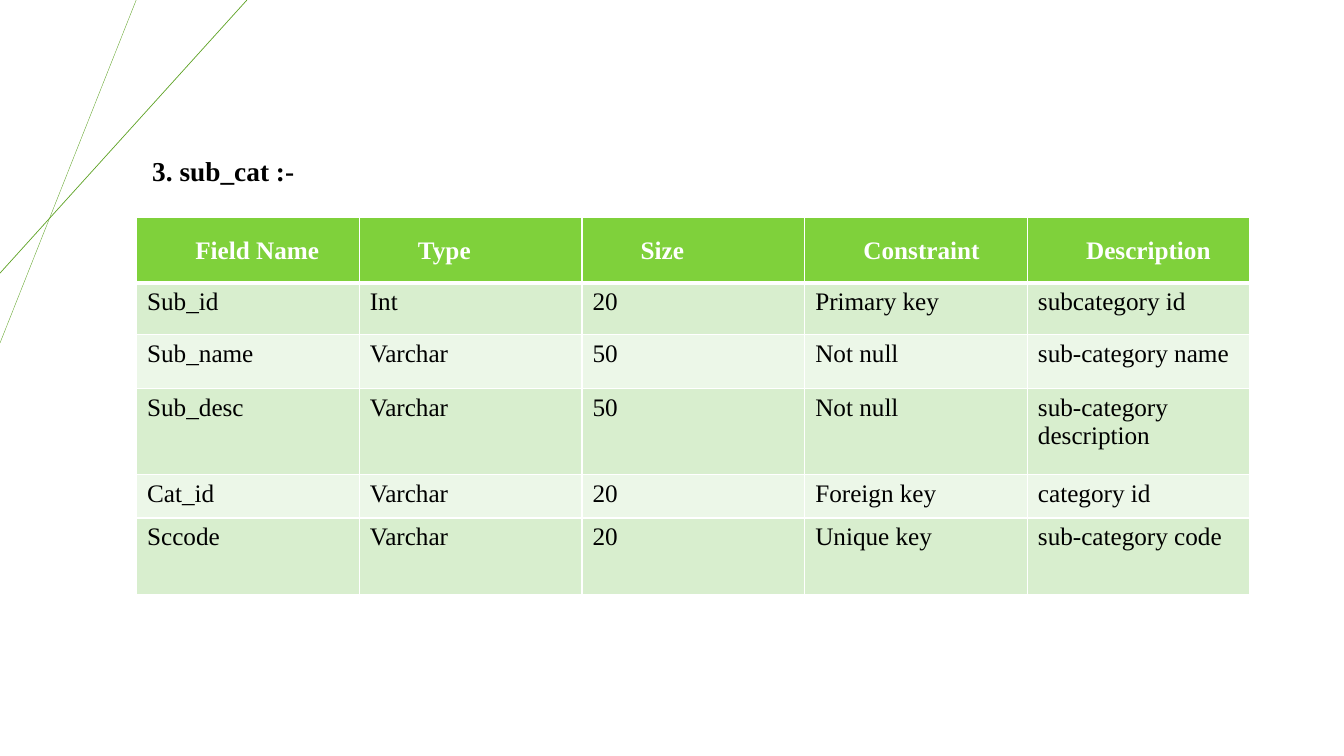
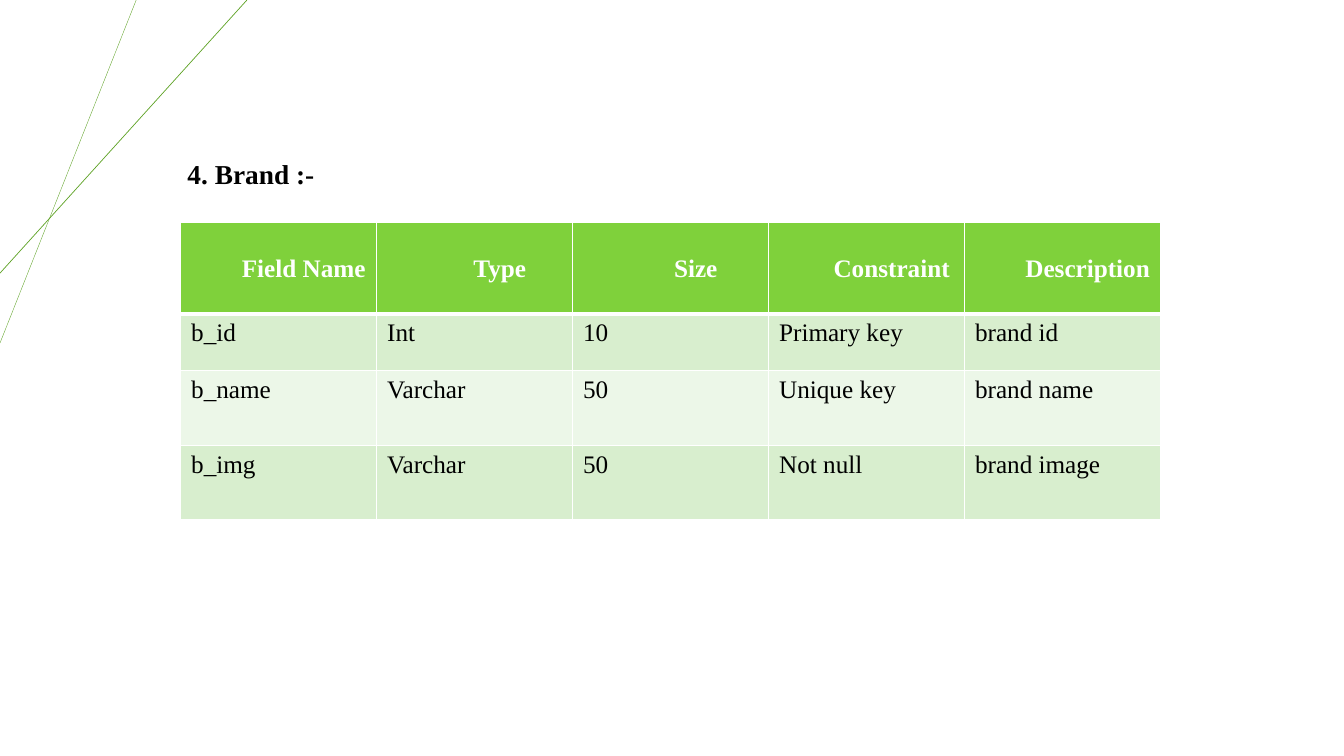
import lxml.etree
import pptx
import pptx.dml.color
import pptx.enum.shapes
import pptx.enum.text
import pptx.oxml.ns
import pptx.util

Pt = pptx.util.Pt
RGBColor = pptx.dml.color.RGBColor
PP_ALIGN = pptx.enum.text.PP_ALIGN
MSO_ANCHOR = pptx.enum.text.MSO_ANCHOR
qn = pptx.oxml.ns.qn

BLACK = RGBColor(0x00, 0x00, 0x00)
WHITE = RGBColor(0xFF, 0xFF, 0xFF)
LINE_GREEN = RGBColor(0x5F, 0xA3, 0x26)
HEADER_GREEN = RGBColor(0x7F, 0xD1, 0x3B)
BANDS = (RGBColor(0xD8, 0xEE, 0xCE), RGBColor(0xEC, 0xF7, 0xE8))

FONT = "Times New Roman"
TITLE_FONT = {"name": FONT, "size": Pt(19.5), "bold": True}
HEADER_FONT = {"name": FONT, "size": Pt(18), "bold": True}
BODY_FONT = {"name": FONT, "size": Pt(18), "bold": False}

HEADER_CELL = {"vertical_anchor": MSO_ANCHOR.MIDDLE, "margin_left": Pt(6),
               "margin_right": Pt(6), "margin_top": 0, "margin_bottom": 0}
BODY_CELL = {"vertical_anchor": MSO_ANCHOR.TOP, "margin_left": Pt(7.6),
             "margin_right": Pt(7.6), "margin_top": Pt(3.8),
             "margin_bottom": Pt(3.8)}
TITLE_FRAME = {"word_wrap": False, "vertical_anchor": MSO_ANCHOR.TOP,
               "auto_size": pptx.enum.text.MSO_AUTO_SIZE.NONE}

LINE_SPACING = 1.07
HEADER_INDENT = 36
THIN, THICK = 1, 3
# Corner lines: x on the top edge, y on the left edge, weight
CORNER_LINES = ((97.3, 245, 0.25), (176.4, 195.1, 0.5))
HEADINGS = ("Field Name", "Type", "Size", "Constraint", "Description")


def set_all(target, values):
    for name, value in values.items():
        setattr(target, name, value)


class Deck:
    def __init__(self):
        self.prs = pptx.Presentation()
        self.prs.slide_width, self.prs.slide_height = Pt(960), Pt(540)
        self.slide = None

    def new_slide(self):
        self.slide = self.prs.slides.add_slide(self.prs.slide_layouts[5])
        for x, y, weight in CORNER_LINES:
            self.line(x, 0, 0, y, weight)

    def line(self, x1, y1, x2, y2, weight):
        sp = self.slide.shapes.add_connector(
            pptx.enum.shapes.MSO_CONNECTOR.STRAIGHT,
            Pt(x1), Pt(y1), Pt(x2), Pt(y2))
        sp.line.color.rgb = LINE_GREEN
        sp.line.width = Pt(weight)
        lxml.etree.SubElement(sp._element.spPr, qn("a:effectLst"))

    def style_paragraph(self, p, font, color):
        for r in p.runs:
            set_all(r.font, font)
            r.font.color.rgb = color

    def title(self, text, left, top, width, height):
        sp = self.slide.shapes.title
        set_all(sp, {"left": Pt(left), "top": Pt(top),
                     "width": Pt(width), "height": Pt(height)})
        tf = sp.text_frame
        tf.text = text
        set_all(tf, TITLE_FRAME)
        p = tf.paragraphs[0]
        set_all(p, {"alignment": PP_ALIGN.LEFT, "line_spacing": LINE_SPACING})
        self.style_paragraph(p, TITLE_FONT, BLACK)

    def borders(self, cell, top, bottom):
        """Add white cell borders; must run before the cell's fill is set."""
        tc_pr = cell._tc.get_or_add_tcPr()
        weights = {"lnL": THIN, "lnR": THIN, "lnT": top, "lnB": bottom}
        for side, weight in weights.items():
            ln = lxml.etree.SubElement(tc_pr, qn(f"a:{side}"), w=str(Pt(weight)))
            fill = lxml.etree.SubElement(ln, qn("a:solidFill"))
            lxml.etree.SubElement(fill, qn("a:srgbClr"), val=str(WHITE))

    def cell(self, cell, text, row, header_align):
        is_header = row == 0
        cell.text = text
        set_all(cell, HEADER_CELL if is_header else BODY_CELL)
        self.borders(cell, THICK if row == 1 else THIN,
                     THICK if is_header else THIN)
        cell.fill.solid()
        cell.fill.fore_color.rgb = (
            HEADER_GREEN if is_header else BANDS[(row - 1) % 2])
        for p in cell.text_frame.paragraphs:
            if is_header:
                p.alignment = header_align
                p.line_spacing = LINE_SPACING
                p._p.get_or_add_pPr().set("marL", str(Pt(HEADER_INDENT)))
                self.style_paragraph(p, HEADER_FONT, WHITE)
            else:
                self.style_paragraph(p, BODY_FONT, BLACK)

    def table(self, left, top, col_width, row_heights, records,
              header_align=PP_ALIGN.LEFT):
        rows = [HEADINGS, *records]
        table = self.slide.shapes.add_table(
            len(rows), len(HEADINGS), Pt(left), Pt(top),
            Pt(col_width * len(HEADINGS)), Pt(sum(row_heights))).table
        for column in table.columns:
            column.width = Pt(col_width)
        for i, (height, values) in enumerate(zip(row_heights, rows)):
            table.rows[i].height = Pt(height)
            for j, text in enumerate(values):
                self.cell(table.cell(i, j), text, i, header_align)


def main():
    deck = Deck()

    deck.new_slide()
    deck.title("3. sub_cat :-", 101.5, 105.1, 116.6, 31)
    deck.table(97.5, 155.5, 159.1, (46.5, 37.2, 38.6, 61.4, 30.8, 54.7), [
        ("Sub_id", "Int", "20", "Primary key", "subcategory id"),
        ("Sub_name", "Varchar", "50", "Not null", "sub-category name"),
        ("Sub_desc", "Varchar", "50", "Not null", "sub-category\ndescription"),
        ("Cat_id", "Varchar", "20", "Foreign key", "category id"),
        ("Sccode", "Varchar", "20", "Unique key", "sub-category code"),
    ])

    deck.new_slide()
    deck.title("4. Brand :-", 126.7, 107.3, 118.8, 32.4)
    deck.table(129, 159.1, 140, (65.2, 40.5, 53.3, 53.3), [
        ("b_id", "Int", "10", "Primary key", "brand id"),
        ("b_name", "Varchar", "50", "Unique key", "brand name"),
        ("b_img", "Varchar", "50", "Not null", "brand image"),
    ], PP_ALIGN.CENTER)

    deck.prs.save("out.pptx")


if __name__ == "__main__":
    main()
